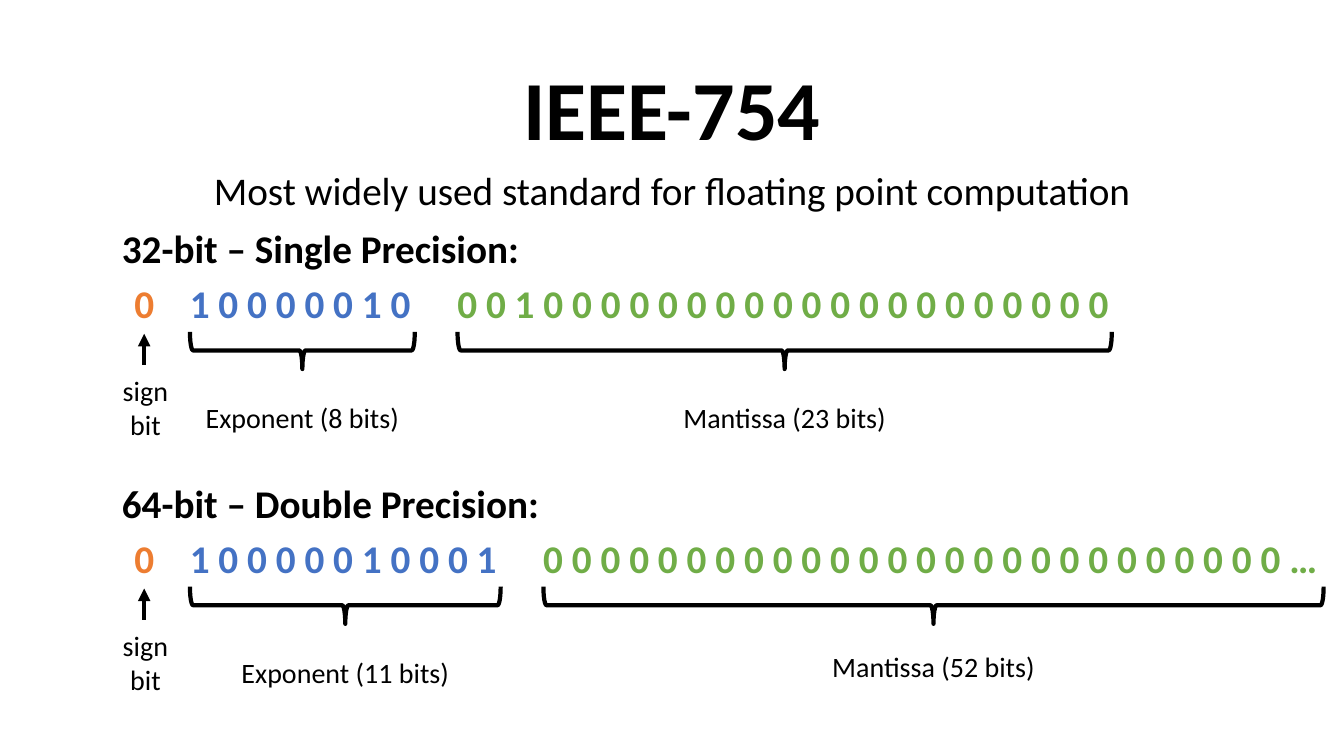
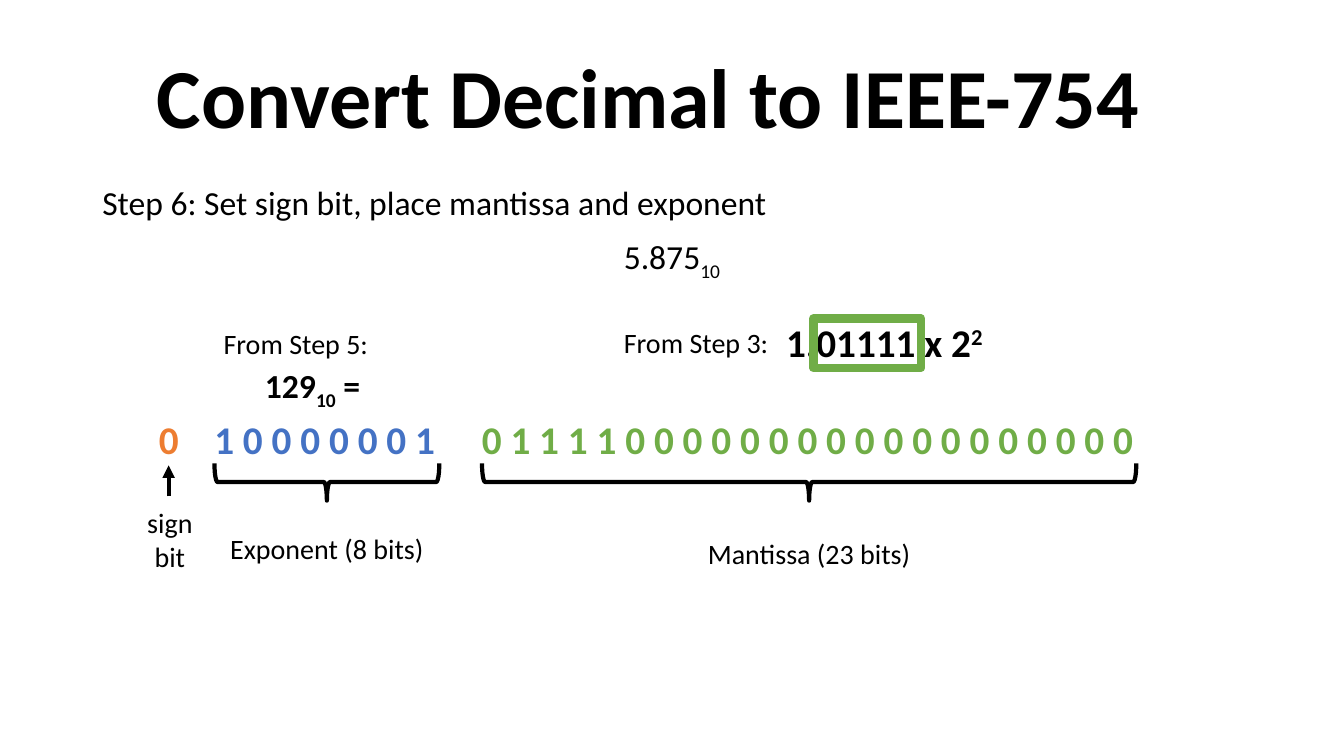
from lxml.etree import SubElement
from pptx import Presentation
from pptx.dml.color import RGBColor
from pptx.enum.shapes import MSO_CONNECTOR as LINE, MSO_SHAPE as SHAPE
from pptx.enum.text import MSO_ANCHOR as ANCHOR, PP_ALIGN as ALIGN
from pptx.oxml.ns import qn
from pptx.util import Pt

FONT = "Calibri"
BLACK, ORANGE, BLUE, GREEN = "000000", "ED7D31", "4472C4", "70AD47"
STEP = 20.45
INSET = 7.2


def paint(target, color):
    """Give a fill or font colour format a solid hex colour."""
    target.rgb = RGBColor.from_string(color)


def write(slide, box, paras, size, color=BLACK, bold=False, align=ALIGN.LEFT,
          lead=1.0, anchor=ANCHOR.TOP):
    """Place paragraphs, each a list of (text, baseline) runs, in a text box."""
    frame = slide.shapes.add_textbox(*map(Pt, box)).text_frame
    frame.word_wrap = True
    frame.vertical_anchor = anchor
    for i, runs in enumerate(paras):
        para = frame.paragraphs[0] if i == 0 else frame.add_paragraph()
        para.alignment = align if len(paras) == 1 or i else ALIGN.LEFT
        para.line_spacing = lead
        para.space_before = Pt(10 if i else 0)
        for text, base in runs:
            run = para.add_run()
            run.text = text
            font = run.font
            font.name, font.size, font.bold = FONT, Pt(size), bold
            paint(font.color, color)
            if base:
                run._r.get_or_add_rPr().set("baseline", str(base * 1000))


def label(slide, box, text, size=20, **style):
    """Place one line of plain text."""
    write(slide, box, [[(text, 0)]], size, **style)


def title(slide, x, y, text):
    """Place the slide title."""
    label(slide, (x, y, 828, 104.4), text, 60, bold=True, align=ALIGN.CENTER,
          lead=0.9, anchor=ANCHOR.MIDDLE)


def outline(slide, kind, box, color, width):
    """Draw an unfilled preset shape."""
    shape = slide.shapes.add_shape(kind, *map(Pt, box))
    shape.shadow.inherit = False
    shape.fill.background()
    paint(shape.line.color, color)
    shape.line.width = Pt(width)
    return shape


def brace(slide, x, y, width, depth=26.6):
    """Draw a brace that opens upward over the given width."""
    left, top = x + (width - depth) / 2, y - (width - depth) / 2
    shape = outline(slide, SHAPE.LEFT_BRACE, (left, top, depth, width), BLACK, 3)
    shape.rotation = 270


def arrow(slide, x, start, end):
    """Draw a vertical arrow."""
    line = slide.shapes.add_connector(LINE.STRAIGHT, Pt(x), Pt(start), Pt(x), Pt(end))
    paint(line.line.color, BLACK)
    line.line.width = Pt(3)
    props = line._element.spPr
    SubElement(props.find(qn("a:ln")), qn("a:tailEnd"), type="triangle")
    SubElement(props, qn("a:effectLst"))


def bits(slide, x, y, digits, color):
    """Place spaced digits and return the width they span."""
    span = sum(1.4 if digit == "…" else 1 for digit in digits) * STEP
    label(slide, (x, y, span + 16, 41), " ".join(digits), 28, color=color, bold=True)
    return span


def field(slide, x, y, drop, digits, color, text, shift=0):
    """Place a run of digits with its brace and caption, and return its span."""
    span = bits(slide, x, y, digits, color)
    left, width = x + INSET, span - 3
    brace(slide, left, y + drop, width)
    label(slide, (left, y + drop + 45.4 + shift, width, 31.7), text, align=ALIGN.CENTER)
    return span


def word(slide, x, y, power, part, count, drop=41, shift=0):
    """Place a floating point word: sign, exponent and mantissa."""
    bits(slide, x, y, "0", ORANGE)
    arrow(slide, x + 14, y + drop + 23.6, y + drop + 1.4)
    label(slide, (x - 10, y + drop + 26.6, 49.7, 55.4), "sign bit", align=ALIGN.CENTER)
    left = x + 39.5
    span = field(slide, left, y, drop, power, BLUE, f"Exponent ({len(power)} bits)")
    field(slide, left + span + 27.5, y, drop, part, GREEN,
          f"Mantissa ({count} bits)", shift)


def formats(slide):
    """Build the slide on the two word sizes."""
    title(slide, 66, 28.8, "IEEE-754")
    label(slide, (66, 119, 828, 58), "Most widely used standard for floating point computation",
          28, align=ALIGN.CENTER, lead=0.9)
    rows = [
        (196, "32-bit – Single Precision:", "10000010", "001" + "0" * 20, 23, 0),
        (378, "64-bit – Double Precision:", "10000010001", "0" * 26 + "…", 52, -4.3),
    ]
    for y, name, power, part, count, shift in rows:
        label(slide, (80, y - 39, 444, 41), name, 28, bold=True)
        word(slide, 89, y, power, part, count, shift=shift)


def convert(slide):
    """Build the slide on the last step of the conversion."""
    title(slide, 49, 20.2, "Convert Decimal to IEEE-754")
    write(slide, (66, 129.6, 828, 74),
          [[("Step 6: Set sign bit, place mantissa and exponent", 0)],
           [("5.875", 0), ("10", -25)]], 24, align=ALIGN.CENTER, lead=0.9)
    label(slide, (152.6, 232.6, 120, 58), "From Step 5:", lead=0.9)
    write(slide, (182.2, 257.8, 103, 62.6), [[("129", 0), ("10", -25), (" =", 0)]],
          24, bold=True, lead=0.9)
    label(slide, (438.5, 232, 120, 58), "From Step 3:", lead=0.9)
    write(slide, (554.4, 227.5, 209, 58), [[("1.01111 x 2", 0), ("2", 30)]],
          28, bold=True, lead=0.9)
    outline(slide, SHAPE.RECTANGLE, (581, 227.5, 77, 35.3), GREEN, 6)
    word(slide, 106.5, 293, "10000001", "01111" + "0" * 18, 23, drop=38, shift=3.6)


def main():
    """Build and save the slides."""
    deck = Presentation()
    deck.slide_width, deck.slide_height = Pt(960), Pt(540)
    for build in (formats, convert):
        build(deck.slides.add_slide(deck.slide_layouts[6]))
    deck.save("out.pptx")


if __name__ == "__main__":
    main()
